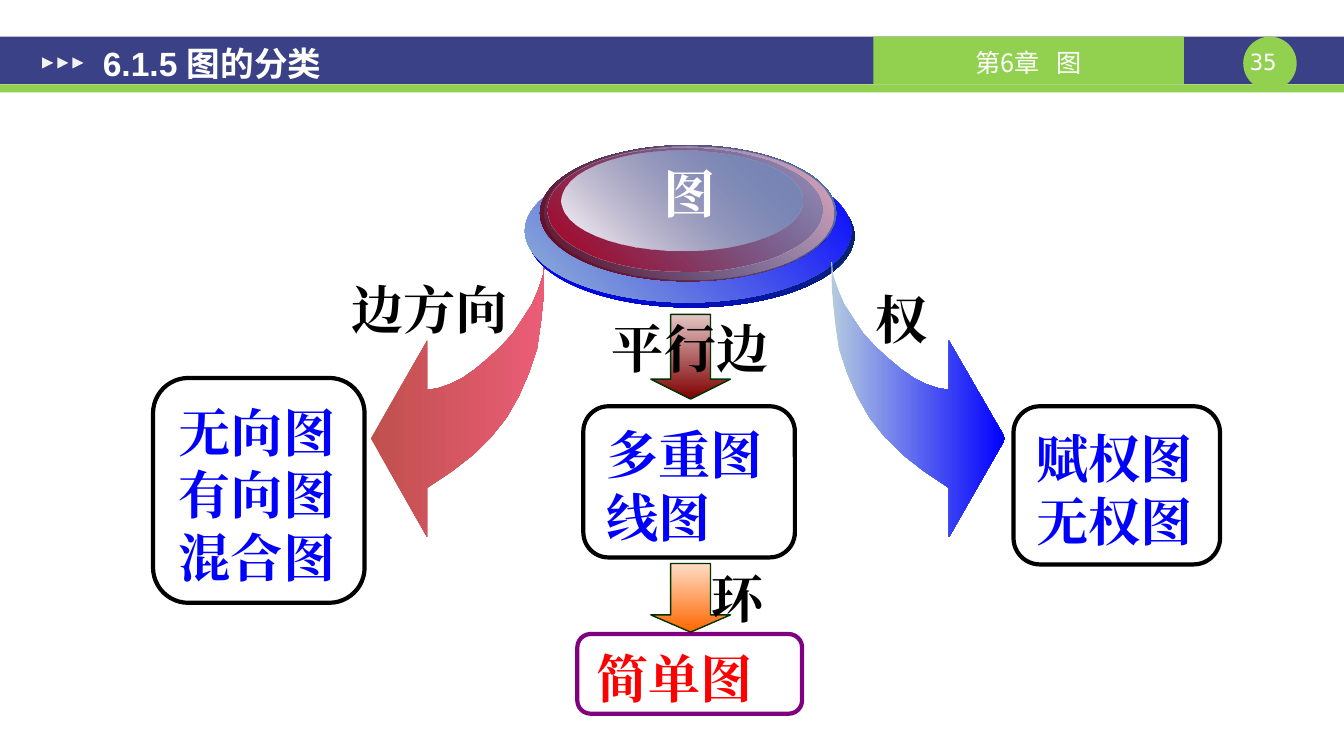
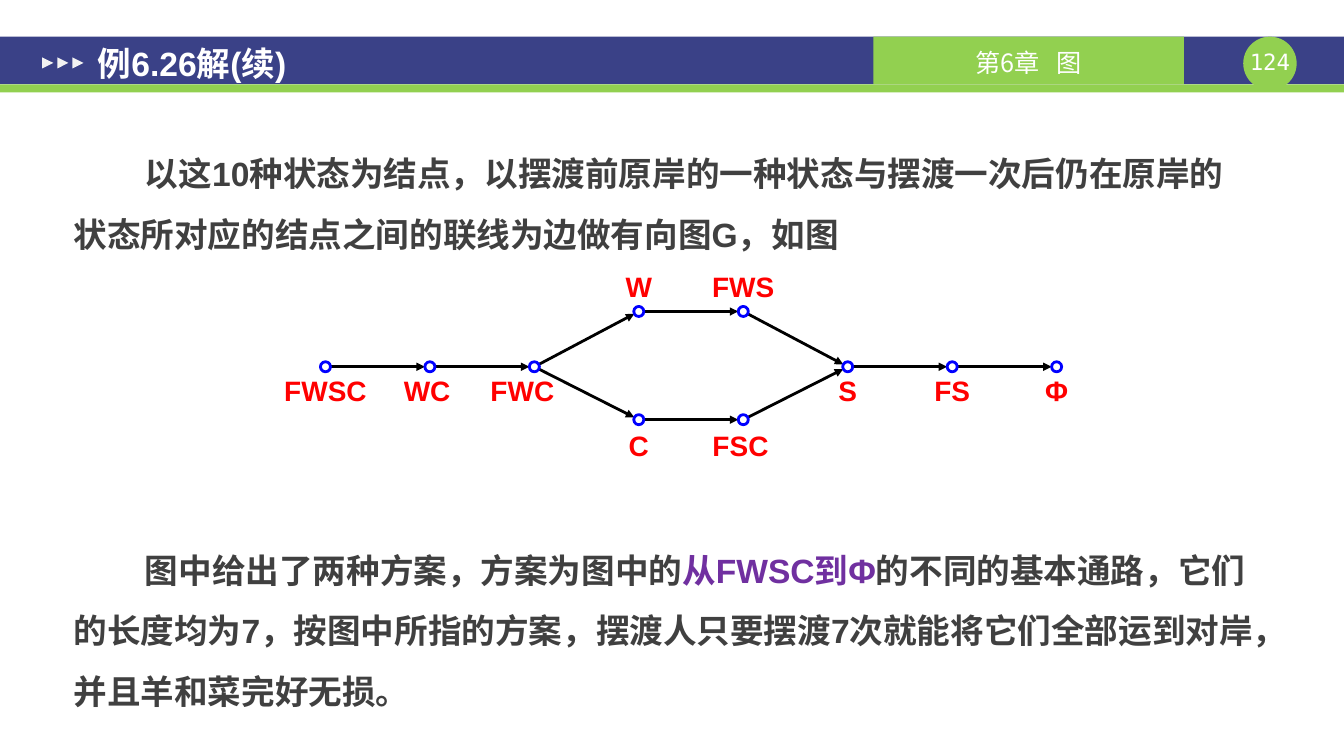
from dataclasses import dataclass
from math import hypot

from lxml import etree
from pptx import Presentation
from pptx.dml.color import RGBColor
from pptx.enum.shapes import MSO_CONNECTOR, MSO_SHAPE
from pptx.enum.text import MSO_ANCHOR, PP_ALIGN
from pptx.oxml.ns import qn
from pptx.util import Pt

RECT, ROUND, OVAL = MSO_SHAPE.RECTANGLE, MSO_SHAPE.ROUNDED_RECTANGLE, MSO_SHAPE.OVAL
TRIANGLE, DOWN = MSO_SHAPE.ISOSCELES_TRIANGLE, MSO_SHAPE.DOWN_ARROW
STRAIGHT = MSO_CONNECTOR.STRAIGHT
LEFT, CENTER = PP_ALIGN.LEFT, PP_ALIGN.CENTER
TOP, MIDDLE = MSO_ANCHOR.TOP, MSO_ANCHOR.MIDDLE

NAVY, GREEN, WHITE, BLACK = "3A4187", "92D050", "FFFFFF", "000000"
BLUE, RED, PURPLE, GREY, STEEL = "0000FF", "FF0000", "7030A0", "404040", "4F81BD"


@dataclass(frozen=True)
class Style:
    font: str
    size: float
    color: str
    bold: bool = True
    spacing: float = 0


@dataclass(frozen=True)
class Gradient:
    start: str
    end: str
    angle: float
    start_alpha: int = 100
    end_alpha: int = 100


@dataclass(frozen=True)
class Category:
    lines: tuple[str, ...]
    area: tuple
    color: str = BLUE
    border: str = BLACK


@dataclass(frozen=True)
class State:
    name: str
    column: int
    level: float
    label_top: float
    label_shift: float = 0


TITLE = Style("Arial", 24, WHITE)
CHAPTER = Style("Noto Sans CJK SC", 18, WHITE, False)
CHAPTER_GAP = Style("Noto Sans CJK SC", 18, WHITE, False, 8)
PAGE = Style("DejaVu Sans Mono", 16, WHITE, False)
CRITERION = Style("Times New Roman", 37.3, BLACK)
BODY = Style("Arial", 24, GREY)
ACCENT = Style("Arial", 24, PURPLE)
STATE_NAME = Style("Arial", 20, RED)

DISCS = [
    ((377.3, 117.4, 233.3, 102.2), Gradient(BLUE, "092C4B", 45)),
    ((375.1, 113.8, 233.3, 102.2), Gradient("96B6D2", BLUE, 45)),
    ((385.9, 103.7, 211.7, 97.2), Gradient("670013", STEEL, 45)),
    ((388.8, 104.4, 206.6, 95), Gradient(STEEL, "F4A6B4", 45, start_alpha=0)),
    ((391, 105.1, 196.6, 88.6), Gradient("B10020", STEEL, 45, end_alpha=48)),
    ((401, 107.3, 172.8, 72), Gradient(WHITE, STEEL, 45, end_alpha=38)),
]
CATEGORIES = [
    Category(("无向图", "有向图", "混合图"), (109.4, 270, 151.2, 160.6)),
    Category(("赋权图", "无权图"), (724.3, 290.2, 147.6, 113)),
    Category(("多重图", "线图"), (416.9, 290.2, 151.2, 108)),
    Category(("简单图",), (412.6, 452.9, 160.6, 56.9), RED, "800080"),
]
DOWN_ARROWS = [
    ((465.1, 224.6, 56.9, 60.5), Gradient("E3C6C6", "800000", 270)),
    ((465.1, 402.5, 56.9, 49), Gradient("FFDDC6", "FF6600", 270)),
]
CRITERIA = [
    ("边方向", (239.8, 194.4, 134.6, 64), 1.0),
    ("权", (609.1, 193, 70.6, 62), 1.2),
    ("平行边", (425.5, 213.1, 135.4, 62), 1.2),
    ("环", (499, 391.7, 56.2, 62), 1.2),
]
CURVED_ARROW = [
    (389.5, 187.2), (388.8, 208.8), (386.6, 229.7), (383.8, 249.1), (378, 266.4),
    (370.8, 283), (362.2, 298.1), (351.4, 311.8), (338.4, 324.7), (322.6, 337),
    (305.3, 348.5), (305.3, 383.8), (265, 313.2), (305.3, 243.4), (305.3, 278.6),
    (313.2, 277.2), (321.8, 274.3), (330.5, 270), (339.8, 263.5), (349.2, 255.6),
    (357.8, 247.7), (366.5, 238.3), (373.7, 227.5), (380.2, 217.4), (384.5, 207.4),
    (388.1, 196.6), (388.8, 187.2),
]
MIRROR_SUM = 983.5

UPPER, MIDDLE_LEVEL, LOWER = 222.5, 262, 299.8
ABOVE, BELOW, BOTTOM = 192.2, 267.1, 306
STATES = [
    State("FWSC", 0, MIDDLE_LEVEL, BELOW),
    State("WC", 1, MIDDLE_LEVEL, BELOW, -2),
    State("FWC", 2, MIDDLE_LEVEL, BELOW, -8.6),
    State("W", 3, UPPER, ABOVE),
    State("FWS", 4, UPPER, ABOVE),
    State("C", 3, LOWER, BOTTOM),
    State("FSC", 4, LOWER, BOTTOM, -2),
    State("S", 5, MIDDLE_LEVEL, BELOW),
    State("FS", 6, MIDDLE_LEVEL, BELOW),
    State("Φ", 7, MIDDLE_LEVEL, BELOW),
]
ROUTES = [("FWSC", "WC", "FWC", "W", "FWS", "S", "FS", "Φ"), ("FWC", "C", "FSC", "S")]
FIRST_COLUMN, COLUMN_STEP, NODE_RADIUS, LABEL_WIDTH = 232.6, 74.65, 3.6, 75.6


def rgb(color: str) -> RGBColor:
    return RGBColor.from_string(color)


def apply(target, values: dict) -> None:
    for key, value in values.items():
        setattr(target, key, value)


def paint(shape, fill=None, line: str | None = None, width: float = 1) -> None:
    shape.shadow.inherit = False
    if isinstance(fill, Gradient):
        shape.fill.gradient()
        shape.fill.gradient_angle = fill.angle
        colors = (fill.start, fill.end)
        for stop, color in zip(shape.fill.gradient_stops, colors):
            stop.color.rgb = rgb(color)
        swatches = shape._element.spPr.findall(".//" + qn("a:srgbClr"))
        for swatch, alpha in zip(swatches, (fill.start_alpha, fill.end_alpha)):
            if alpha < 100:
                etree.SubElement(swatch, qn("a:alpha"), val=str(alpha * 1000))
    elif fill:
        shape.fill.solid()
        shape.fill.fore_color.rgb = rgb(fill)
    else:
        shape.fill.background()
    if line:
        shape.line.color.rgb = rgb(line)
        shape.line.width = Pt(width)
    else:
        shape.line.fill.background()


def add_figure(slide, kind, area: tuple, fill=None, line: str | None = None, width: float = 1):
    figure = slide.shapes.add_shape(kind, *map(Pt, area))
    paint(figure, fill, line, width)
    return figure


def write(shape, paragraphs: list, align=CENTER, anchor=TOP,
          insets: tuple = (7.2, 3.6, 7.2, 3.6), spacing: float = 1.0) -> None:
    frame = shape.text_frame
    sides = ("margin_left", "margin_top", "margin_right", "margin_bottom")
    apply(frame, {"word_wrap": True, "vertical_anchor": anchor,
                  **dict(zip(sides, map(Pt, insets)))})
    for index, runs in enumerate(paragraphs):
        paragraph = frame.add_paragraph() if index else frame.paragraphs[0]
        apply(paragraph, {"alignment": align, "line_spacing": spacing})
        for words, style in runs:
            run = paragraph.add_run()
            run.text = words
            apply(run.font, {"name": style.font, "size": Pt(style.size), "bold": style.bold})
            run.font.color.rgb = rgb(style.color)
            properties = run.font._element
            etree.SubElement(properties, qn("a:ea"), typeface=style.font)
            if style.spacing:
                properties.set("spc", str(int(style.spacing * 100)))


def add_text(slide, area: tuple, paragraphs: list, **layout):
    box = slide.shapes.add_textbox(*map(Pt, area))
    write(box, paragraphs, **layout)
    return box


def add_lesson(deck, title: str, title_left: float, page: int):
    slide = deck.slides.add_slide(deck.slide_layouts[6])
    add_figure(slide, RECT, (0, 26.2, 960.5, 34), NAVY)
    add_figure(slide, RECT, (0, 60.2, 960.5, 5.8), GREEN)
    add_figure(slide, OVAL, (888.5, 26.2, 38.2, 38.2), GREEN)
    add_text(slide, (888.5, 34.6, 38.2, 19.4), [[(f"{page} ", PAGE)]], insets=(0, 0, 0, 0))
    chapter = add_figure(slide, RECT, (624.2, 26.2, 221.8, 34), GREEN)
    write(chapter, [[("第6章", CHAPTER), (" ", CHAPTER_GAP), ("图", CHAPTER)]],
          anchor=MIDDLE, insets=(7.2, 2.9, 7.2, 0))
    for index in range(3):
        marker = add_figure(slide, TRIANGLE, (30.2 + 10.8 * index, 41, 7.9, 7.9), "F2F2F2")
        marker.rotation = 90
    add_text(slide, (title_left, 8.6, 550, 72.7), [[(title, TITLE)]],
             align=LEFT, anchor=MIDDLE, insets=(9.4, 5, 9.4, 5))
    return slide


def add_curved_arrow(slide, points: list, gradient: Gradient) -> None:
    outline = [(Pt(x), Pt(y)) for x, y in points]
    builder = slide.shapes.build_freeform(*outline[0])
    builder.add_line_segments(outline[1:], close=True)
    paint(builder.convert_to_shape(), gradient)


def add_edge(slide, start: tuple, end: tuple) -> None:
    across, down = end[0] - start[0], end[1] - start[1]
    ratio = NODE_RADIUS / hypot(across, down)
    trim_x, trim_y = across * ratio, down * ratio
    ends = (start[0] + trim_x, start[1] + trim_y, end[0] - trim_x, end[1] - trim_y)
    edge = slide.shapes.add_connector(STRAIGHT, *map(Pt, ends))
    edge.line.color.rgb = rgb(BLACK)
    edge.line.width = Pt(2)
    etree.SubElement(edge.line._get_or_add_ln(), qn("a:tailEnd"), type="triangle")
    etree.SubElement(edge._element.spPr, qn("a:effectLst"))


def build_classification(deck) -> None:
    slide = add_lesson(deck, "6.1.5 图的分类", 64.1, 35)
    add_curved_arrow(slide, CURVED_ARROW, Gradient("C0504D", "EB5D77", 0))
    for area, gradient in DISCS:
        add_figure(slide, OVAL, area, gradient)
    add_text(slide, (466.6, 111.6, 52.6, 52.6),
             [[("图", Style("Times New Roman", 37.3, WHITE))]])
    mirrored = [(MIRROR_SUM - x, y) for x, y in CURVED_ARROW]
    add_curved_arrow(slide, mirrored, Gradient("B4CBDF", BLUE, 0))
    for category in CATEGORIES:
        style = Style("Times New Roman", 37.3, category.color)
        box = add_figure(slide, ROUND, category.area, None, category.border, 3)
        write(box, [[(line, style)] for line in category.lines],
              align=LEFT, anchor=MIDDLE, insets=(11, 5, 0, 0))
    for area, gradient in DOWN_ARROWS:
        arrow = add_figure(slide, DOWN, area, gradient, "003300")
        arrow.adjustments[1] = 0.25
    for words, area, spacing in CRITERIA:
        add_text(slide, area, [[(words, CRITERION)]], spacing=spacing)


def build_solution(deck) -> None:
    slide = add_lesson(deck, "例6.26解(续)", 60.5, 124)
    body = add_text(slide, (43.2, 90, 863.3, 432), [
        [("以这10种状态为结点，以摆渡前原岸的一种状态与摆渡一次后仍在原岸的"
          "状态所对应的结点之间的联线为边做有向图G，如图", BODY)],
        [("图中给出了两种方案，方案为图中的", BODY), ("从FWSC到Φ", ACCENT),
         ("的不同的基本通路，它们的长度均为7，按图中所指的方案，摆渡人只要摆渡7次"
          "就能将它们全部运到对岸，并且羊和菜完好无损。", BODY)],
    ], align=LEFT, insets=(9.4, 5, 9.4, 5), spacing=1.5)
    for paragraph in body.text_frame.paragraphs:
        paragraph._p.get_or_add_pPr().set("indent", str(Pt(51)))
    body.text_frame.paragraphs[1].space_before = Pt(197)

    centres = {s.name: (FIRST_COLUMN + COLUMN_STEP * s.column, s.level) for s in STATES}
    for route in ROUTES:
        for start, end in zip(route, route[1:]):
            add_edge(slide, centres[start], centres[end])
    for state in STATES:
        x, y = centres[state.name]
        diameter = 2 * NODE_RADIUS
        add_figure(slide, OVAL, (x - NODE_RADIUS, y - NODE_RADIUS, diameter, diameter),
                   WHITE, BLUE, 2)
        label_left = x + state.label_shift - LABEL_WIDTH / 2
        add_text(slide, (label_left, state.label_top, LABEL_WIDTH, 34.6),
                 [[(state.name, STATE_NAME)]], insets=(0, 0, 0, 0))


def main() -> None:
    deck = Presentation()
    apply(deck, {"slide_width": Pt(960.48), "slide_height": Pt(540)})
    build_classification(deck)
    build_solution(deck)
    deck.save("out.pptx")


if __name__ == "__main__":
    main()
